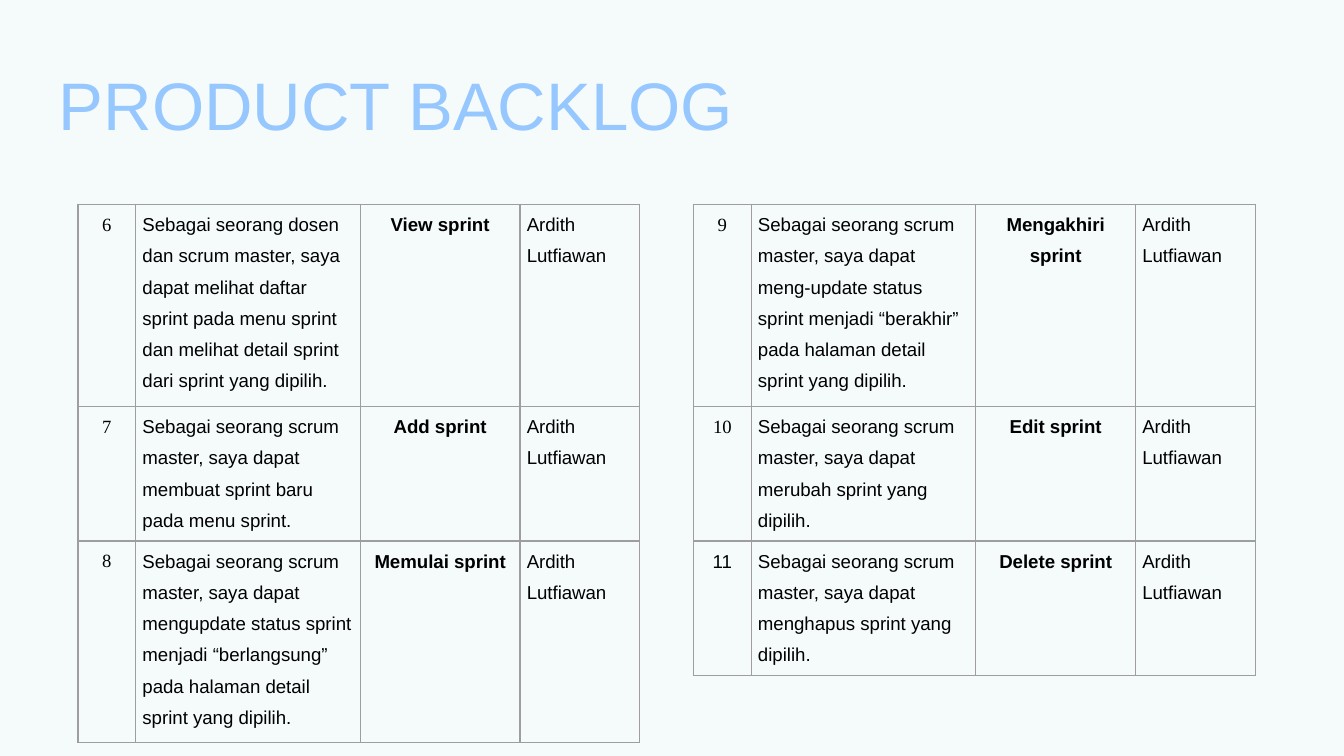
from dataclasses import dataclass

from lxml import etree
from pptx import Presentation
from pptx import util as u
from pptx.dml.color import RGBColor
from pptx.enum import text
from pptx.oxml import ns


@dataclass(frozen=True)
class Theme:
    background: str = "F5FBFB"
    title: str = "96C7FE"
    ink: str = "000000"
    border: str = "9E9E9E"
    title_size: int = 36
    body_size: int = 10
    sans: str = "Arial"
    serif: str = "Times New Roman"


theme = Theme()


def write(para, words, color, align=text.PP_ALIGN.LEFT, **font_format):
    para.alignment = align
    span = para.add_run()
    span.text = words
    span.font.color.rgb = RGBColor.from_string(color)
    for name, value in font_format.items():
        setattr(span.font, name, value)
    # The paragraph end takes the size of its text
    etree.SubElement(para._p, ns.qn("a:endParaRPr"), sz=str(int(span.font.size.pt * 100)))


def draw_borders(cell):
    properties = cell._tc.get_or_add_tcPr()
    for position, side in enumerate(("lnL", "lnR", "lnT", "lnB")):
        line = etree.Element(ns.qn(f"a:{side}"), w=str(u.Pt(0.75)))
        fill = etree.SubElement(line, ns.qn("a:solidFill"))
        etree.SubElement(fill, ns.qn("a:srgbClr"), val=theme.border)
        properties.insert(position, line)


# Page, 16:9
deck = Presentation()
deck.slide_width = u.Inches(10)
deck.slide_height = u.Inches(10) * 9 // 16
page = deck.slides.add_slide(deck.slide_layouts[6])
page.background.fill.solid()
page.background.fill.fore_color.rgb = RGBColor.from_string(theme.background)

# Title
box = page.shapes.add_textbox(u.Inches(0.34), u.Inches(0.37), u.Inches(9.32), u.Inches(0.63))
frame_format = {
    "word_wrap": True,
    "vertical_anchor": text.MSO_ANCHOR.TOP,
    "margin_left": u.Inches(0.1),
    "margin_right": u.Inches(0.1),
    "margin_top": u.Inches(0.1),
    "margin_bottom": u.Inches(0.1),
}
for name, value in frame_format.items():
    setattr(box.text_frame, name, value)
write(box.text_frame.paragraphs[0], "PRODUCT BACKLOG", theme.title,
      size=u.Pt(theme.title_size), name=theme.sans)

# Backlog items: number, number font, user story, feature
owner = "Ardith Lutfiawan"
left_items = [
    ("6", theme.serif, "Sebagai seorang dosen dan scrum master, saya dapat melihat daftar sprint "
     "pada menu sprint dan melihat detail sprint dari sprint yang dipilih.", "View sprint"),
    ("7", theme.serif, "Sebagai seorang scrum master, saya dapat membuat sprint baru "
     "pada menu sprint.", "Add sprint"),
    ("8", theme.serif, "Sebagai seorang scrum master, saya dapat mengupdate status sprint "
     "menjadi “berlangsung” pada halaman detail sprint yang dipilih.", "Memulai sprint"),
]
right_items = [
    ("9", theme.serif, "Sebagai seorang scrum master, saya dapat meng-update status sprint "
     "menjadi “berakhir” pada halaman detail sprint yang dipilih.", "Mengakhiri sprint"),
    ("10", theme.serif, "Sebagai seorang scrum master, saya dapat merubah sprint "
     "yang dipilih.", "Edit sprint"),
    ("11", theme.sans, "Sebagai seorang scrum master, saya dapat menghapus sprint "
     "yang dipilih.", "Delete sprint"),
]

# Tables
column_widths = (0.43, 1.67, 1.19, 0.89)
tall, short = 1.45, 0.95
cell_format = {
    "margin_left": u.Inches(0.05),
    "margin_right": u.Inches(0.05),
    "margin_top": 0,
    "margin_bottom": 0,
}
center, left = text.PP_ALIGN.CENTER, text.PP_ALIGN.LEFT
for table_left, items, row_heights in (
    (0.58, left_items, (tall, short, tall)),
    (5.16, right_items, (tall, short, short)),
):
    table = page.shapes.add_table(
        len(items), len(column_widths), u.Inches(table_left), u.Inches(1.52),
        u.Inches(sum(column_widths)), u.Inches(sum(row_heights))).table
    table.first_row = table.horz_banding = False
    for column, width in zip(table.columns, column_widths):
        column.width = u.Inches(width)
    for row, height, (number, number_font, story, feature) in zip(table.rows, row_heights, items):
        row.height = u.Inches(height)
        contents = (
            (number, number_font, center, False),
            (story, theme.sans, left, False),
            (feature, theme.sans, center, True),
            (owner, theme.sans, left, False),
        )
        for cell, (words, font, align, bold) in zip(row.cells, contents):
            for name, value in cell_format.items():
                setattr(cell, name, value)
            cell.fill.background()
            draw_borders(cell)
            para = cell.text_frame.paragraphs[0]
            para.line_spacing = 1.5
            write(para, words, theme.ink, align,
                  size=u.Pt(theme.body_size), name=font, bold=bold)

deck.save("out.pptx")
